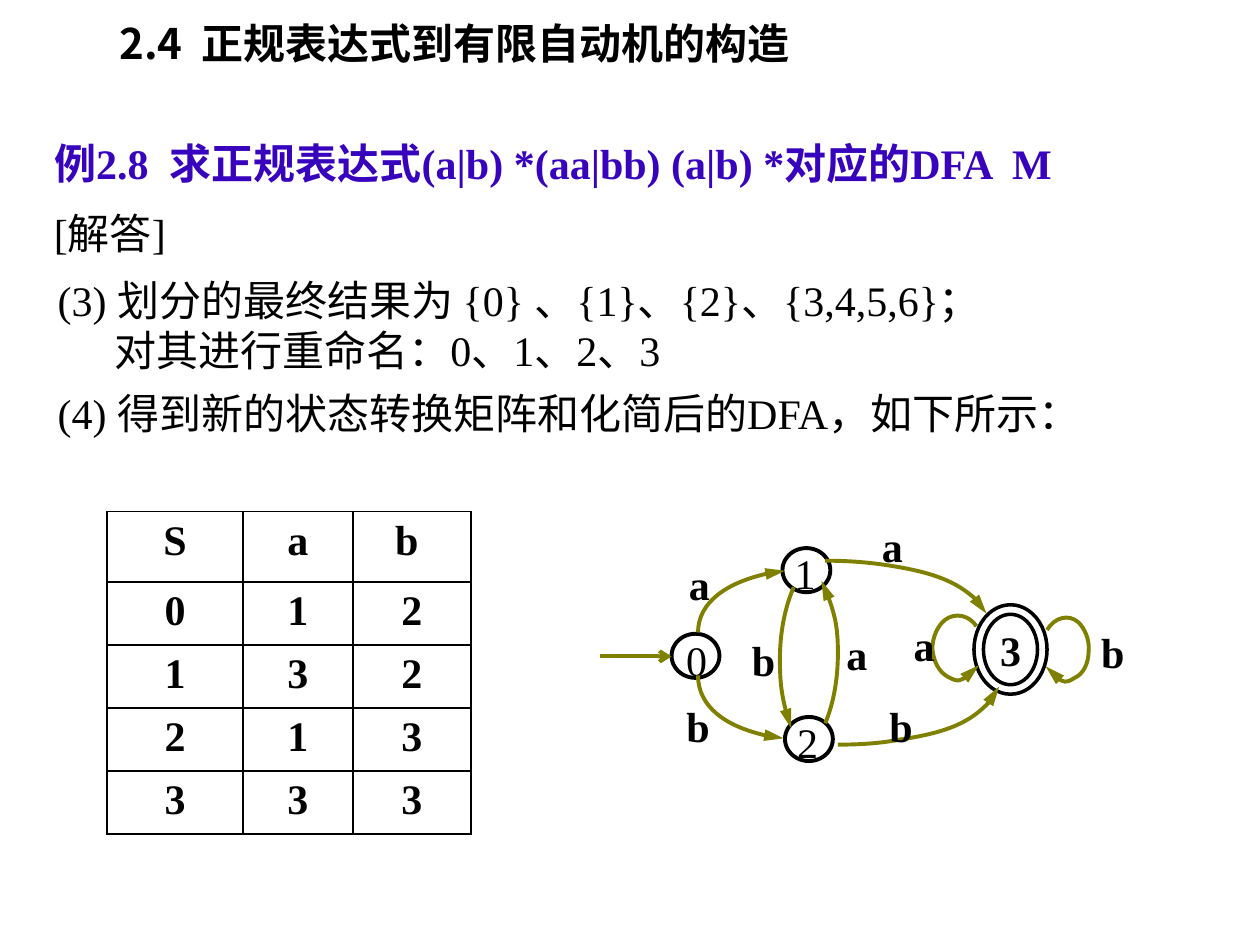
"""Build the slide on turning a regular expression into a minimal DFA."""
from dataclasses import dataclass

from lxml import etree
from pptx import Presentation
from pptx.dml.color import RGBColor
from pptx.enum.shapes import MSO_CONNECTOR, MSO_SHAPE
from pptx.enum.text import MSO_ANCHOR, MSO_AUTO_SIZE, PP_ALIGN
from pptx.oxml.ns import qn
from pptx.util import Inches, Pt

BLACK = RGBColor(0x00, 0x00, 0x00)
VIOLET = RGBColor(0x38, 0x03, 0xBD)
OLIVE = RGBColor(0x80, 0x80, 0x00)
LATIN_FONT = "Times New Roman"
CHINESE_FONT = "Noto Sans CJK SC"
LEFT, CENTER = PP_ALIGN.LEFT, PP_ALIGN.CENTER
TOP, MIDDLE = MSO_ANCHOR.TOP, MSO_ANCHOR.MIDDLE
NO_AUTOFIT = MSO_AUTO_SIZE.NONE
OVAL, DONUT = MSO_SHAPE.OVAL, MSO_SHAPE.DONUT
STRAIGHT = MSO_CONNECTOR.STRAIGHT
SIDES = ("left", "top", "width", "height")
STATE_WIDTH, STATE_HEIGHT = 0.38, 0.35
MATRIX = (("S", "a", "b "), "012", "132", "213", "333")
COLUMN_WIDTHS = (1.08, 0.87, 0.94)
ROW_HEIGHTS = (0.56, 0.5, 0.5, 0.5, 0.5)


@dataclass(frozen=True)
class Passage:
    """A block of text with one look."""
    lines: tuple[str, ...]
    box: tuple[float, float, float, float]
    bold: bool = False
    font: str = LATIN_FONT
    color: RGBColor = BLACK
    align: PP_ALIGN = LEFT
    anchor: MSO_ANCHOR = TOP
    spacing: float = 1.0
    wrap: bool = True


@dataclass(frozen=True)
class State:
    """A numbered state circle and the place of its number."""
    name: str
    left: float
    top: float
    name_left: float
    name_top: float


@dataclass(frozen=True)
class Transition:
    """A curved arrow, given as a frame and Bezier points, with its input symbol."""
    symbol: str
    symbol_box: tuple[float, float, float, float]
    frame: tuple[float, float, float, float]
    points: tuple[tuple[float, float], ...]


HEADING = Passage(("2.4  正规表达式到有限自动机的构造",), (0.85, 0, 7.09, 0.68),
                  bold=True, font=CHINESE_FONT, anchor=MIDDLE)
EXAMPLE = Passage(("例2.8  求正规表达式(a|b) *(aa|bb) (a|b) *对应的DFA  M",),
                  (0.33, 0.69, 9.37, 0.8), bold=True, color=VIOLET,
                  anchor=MIDDLE, spacing=2.0)
ANSWER = (
    Passage(("[解答]",), (0.33, 1.4, 9.43, 0.7), spacing=1.5),
    Passage(("(3) 划分的最终结果为 {0} 、{1}、{2}、{3,4,5,6}；",
             "对其进行重命名：0、1、2、3"), (0.36, 2.13, 9.42, 0.9)),
    Passage(("(4) 得到新的状态转换矩阵和化简后的DFA，如下所示：",),
            (0.36, 3.03, 9.42, 0.5)),
)
STATES = (
    State("0", 5.33, 5.03, 5.35, 4.99),
    State("1", 6.21, 4.35, 6.21, 4.3),
    State("2", 6.23, 5.69, 6.23, 5.64),
)
TRANSITIONS = (
    Transition("a", (5.37, 4.38, 0.34, 0.5), (5.54, 4.52, 1.6, 1.01),
               ((5.54, 5.02), (5.54, 4.78), (5.84, 4.57), (6.23, 4.53))),
    Transition("b", (5.35, 5.51, 0.34, 0.5), (5.54, 4.85, 1.6, 1.02),
               ((5.54, 5.36), (5.54, 5.61), (5.83, 5.82), (6.22, 5.86))),
    Transition("b", (5.87, 4.99, 0.34, 0.5), (6.19, 4.34, 0.96, 1.82),
               ((6.3, 4.66), (6.23, 4.82), (6.19, 5.02), (6.19, 5.23),
                (6.19, 5.43), (6.22, 5.62), (6.28, 5.78))),
    Transition("a", (6.62, 4.94, 0.34, 0.5), (5.53, 4.26, 1.12, 1.89),
               ((6.55, 5.74), (6.62, 5.57), (6.65, 5.38), (6.65, 5.18),
                (6.65, 4.97), (6.6, 4.77), (6.52, 4.61))),
    Transition("a", (6.9, 4.08, 0.34, 0.5), (5.35, 4.45, 2.5, 1.01),
               ((6.55, 4.45), (6.71, 4.45), (6.86, 4.46), (7, 4.48),
                (7.43, 4.54), (7.75, 4.69), (7.83, 4.87))),
    Transition("b", (6.96, 5.51, 0.34, 0.5), (5.45, 4.8, 2.5, 1.11),
               ((6.65, 5.91), (6.82, 5.91), (6.99, 5.9), (7.14, 5.87),
                (7.56, 5.81), (7.86, 5.64), (7.93, 5.45))),
    Transition("a", (7.14, 4.87, 0.39, 0.5), (7.4, 4.88, 0.4, 0.51),
               ((7.75, 4.97), (7.69, 4.88), (7.58, 4.86), (7.5, 4.92),
                (7.44, 4.97), (7.4, 5.06), (7.4, 5.15),
                (7.41, 5.25), (7.45, 5.33), (7.52, 5.37),
                (7.61, 5.42), (7.71, 5.38), (7.77, 5.28))),
    Transition("b", (8.64, 4.92, 0.34, 0.5), (8.26, 4.9, 0.38, 0.5),
               ((8.31, 5), (8.37, 4.9), (8.48, 4.87), (8.56, 4.94),
                (8.61, 4.99), (8.65, 5.08), (8.64, 5.17),
                (8.64, 5.26), (8.6, 5.35), (8.53, 5.38),
                (8.45, 5.43), (8.35, 5.39), (8.3, 5.29))),
)


def write(frame, passage: Passage) -> None:
    """Fill a text frame with a passage."""
    frame_format = {"word_wrap": passage.wrap, "auto_size": NO_AUTOFIT,
                    "vertical_anchor": passage.anchor}
    for attribute, value in frame_format.items():
        setattr(frame, attribute, value)
    font_format = {"name": passage.font, "size": Pt(24), "bold": passage.bold}
    for number, line in enumerate(passage.lines):
        paragraph = frame.add_paragraph() if number else frame.paragraphs[0]
        paragraph.alignment = passage.align
        paragraph.line_spacing = passage.spacing
        if number:
            paragraph._p.get_or_add_pPr().set("marL", str(Inches(0.45)))
        run = paragraph.add_run()
        run.text = line
        for attribute, value in font_format.items():
            setattr(run.font, attribute, value)
        run.font.color.rgb = passage.color
        etree.SubElement(run._r.get_or_add_rPr(), qn("a:ea"), typeface=CHINESE_FONT)


def add_passage(slide, passage: Passage) -> None:
    """Place a passage in its own text box."""
    write(slide.shapes.add_textbox(*map(Inches, passage.box)).text_frame, passage)


def place(shape, box: tuple) -> None:
    """Give a shape its position and size."""
    for side, value in zip(SIDES, box):
        setattr(shape, side, Inches(value))


def outline(shape, color: RGBColor, width: float, **arrow: str) -> None:
    """Set the line of a shape, with an arrowhead if one is described."""
    shape.line.color.rgb = color
    shape.line.width = Pt(width)
    if arrow:
        etree.SubElement(shape.element.xpath(".//a:ln")[0], qn("a:tailEnd"), **arrow)


def add_circle(slide, kind: MSO_SHAPE, box: tuple, width: float):
    """Draw an unfilled state circle."""
    circle = slide.shapes.add_shape(kind, *map(Inches, box))
    circle.shadow.inherit = False
    circle.fill.background()
    outline(circle, BLACK, width)
    return circle


def add_state(slide, state: State) -> None:
    """Draw a state circle with its number."""
    add_circle(slide, OVAL, (state.left, state.top, STATE_WIDTH, STATE_HEIGHT), 2.25)
    add_passage(slide, Passage((state.name,), (state.name_left, state.name_top, 0.36, 0.5),
                               align=CENTER, wrap=False))


def add_transition(slide, transition: Transition) -> None:
    """Draw a curved arrow in its frame and its input symbol."""
    start, *others = [(Inches(x), Inches(y)) for x, y in transition.points]
    builder = slide.shapes.build_freeform(*start)
    builder.add_line_segments(others, close=False)
    curve = builder.convert_to_shape()
    route = curve.element.xpath(".//a:path")[0]
    left, top, width, height = map(Inches, transition.frame)
    for point in route.iter(qn("a:pt")):
        point.set("x", str(int(point.get("x")) + curve.left - left))
        point.set("y", str(int(point.get("y")) + curve.top - top))
    route.set("w", str(width))
    route.set("h", str(height))
    place(curve, transition.frame)
    segments = route.findall(qn("a:lnTo"))
    for first in range(0, len(segments), 3):
        bezier = etree.SubElement(route, qn("a:cubicBezTo"))
        for segment in segments[first:first + 3]:
            bezier.append(segment[0])
            route.remove(segment)
    curve.shadow.inherit = False
    curve.fill.background()
    outline(curve, OLIVE, 2.25, type="triangle", w="med", len="lg")
    add_passage(slide, Passage((transition.symbol,), transition.symbol_box,
                               bold=True, align=CENTER))


def add_matrix(slide) -> None:
    """Draw the state transition matrix as a ruled table."""
    box = (0.85, 4.06, sum(COLUMN_WIDTHS), sum(ROW_HEIGHTS))
    matrix = slide.shapes.add_table(len(MATRIX), len(COLUMN_WIDTHS), *map(Inches, box)).table
    matrix.first_row = matrix.horz_banding = False
    for column, width in zip(matrix.columns, COLUMN_WIDTHS):
        column.width = Inches(width)
    for row, height, values in zip(matrix.rows, ROW_HEIGHTS, MATRIX):
        row.height = Inches(height)
        for cell, value in zip(row.cells, values):
            write(cell.text_frame, Passage((value,), box, bold=True, align=CENTER))
            properties = cell._tc.get_or_add_tcPr()
            for side in ("lnL", "lnR", "lnT", "lnB"):
                border = etree.SubElement(properties, qn(f"a:{side}"), w=str(Pt(1.08)))
                paint = etree.SubElement(border, qn("a:solidFill"))
                etree.SubElement(paint, qn("a:srgbClr"), val=str(BLACK))
            cell.fill.background()


def main() -> None:
    """Build and save the slide."""
    deck = Presentation()
    deck.slide_width, deck.slide_height = Inches(10), Inches(7.5)
    slide = deck.slides.add_slide(deck.slide_layouts[5])
    example = slide.shapes.title
    place(example, EXAMPLE.box)
    write(example.text_frame, EXAMPLE)
    for passage in (HEADING, *ANSWER):
        add_passage(slide, passage)
    add_matrix(slide)
    for state in STATES:
        add_state(slide, state)
    final = add_circle(slide, DONUT, (7.73, 4.8, 0.58, 0.71), 2)
    final.adjustments[0] = 0.13
    write(final.text_frame, Passage(("3",), (), bold=True, align=CENTER, anchor=MIDDLE))
    entry = slide.shapes.add_connector(STRAIGHT, *map(Inches, (4.76, 5.21, 5.33, 5.21)))
    outline(entry, OLIVE, 2.25, type="arrow")
    etree.SubElement(entry.element.spPr, qn("a:effectLst"))
    for transition in TRANSITIONS:
        add_transition(slide, transition)
    deck.save("out.pptx")


if __name__ == "__main__":
    main()
